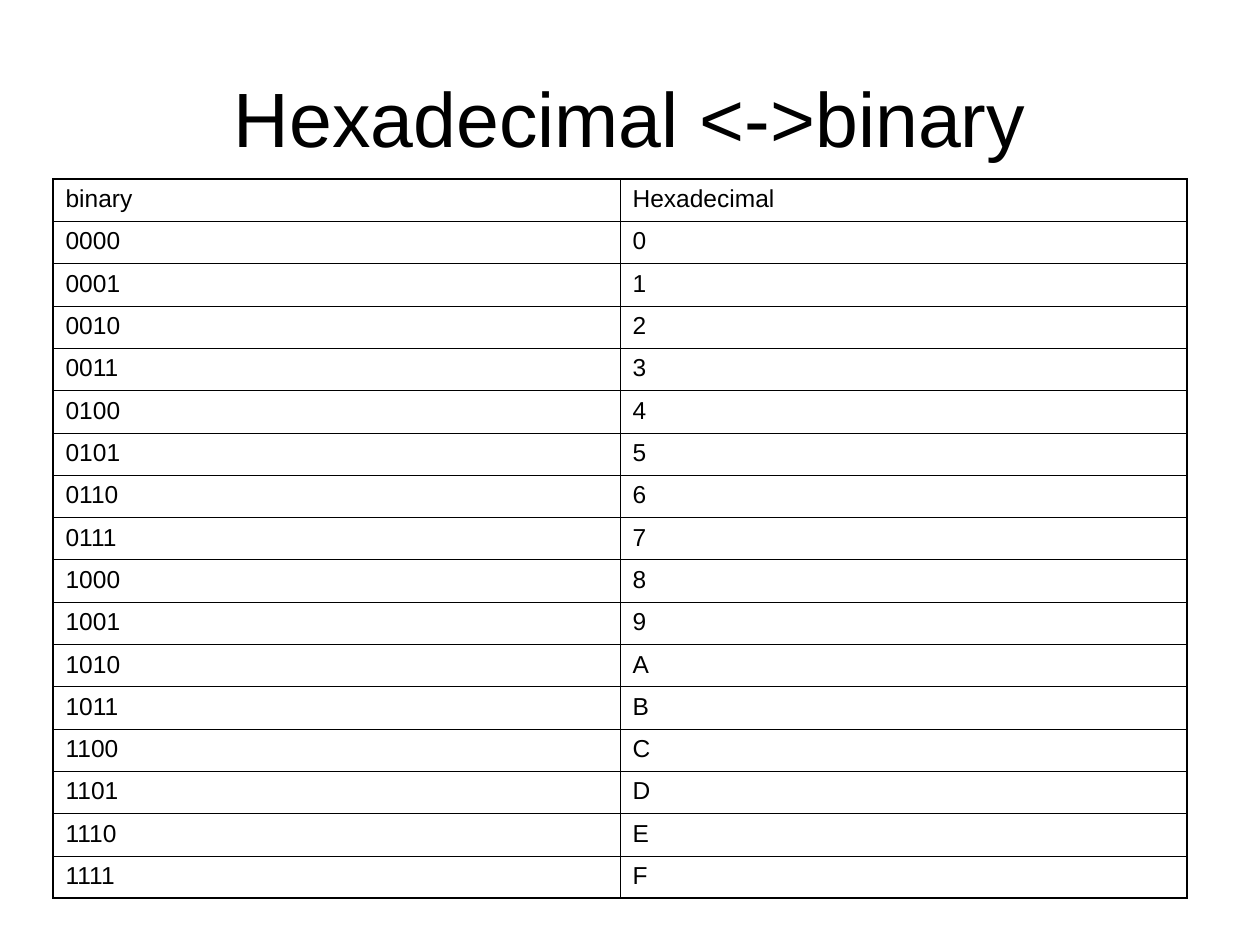
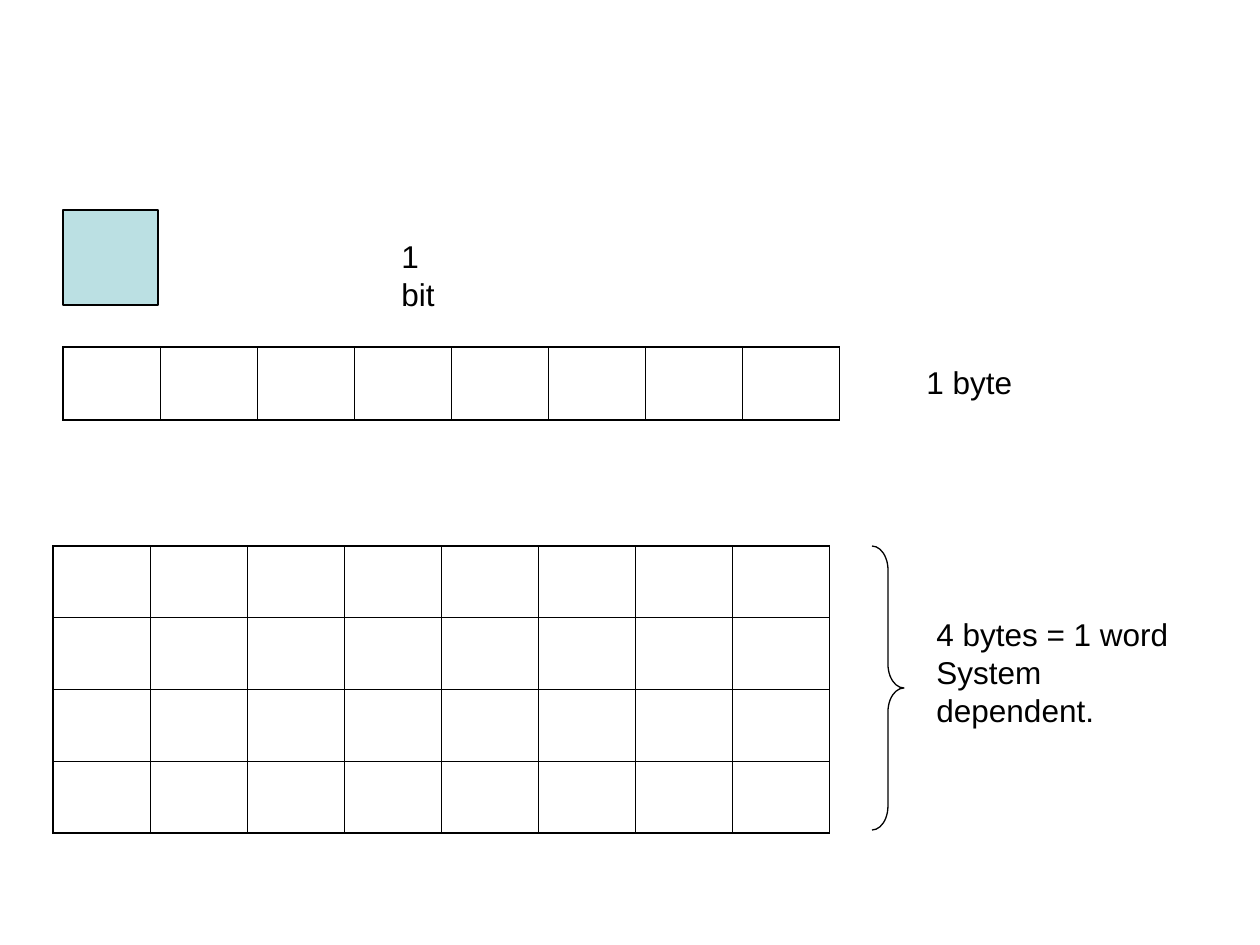
import pptx
import pptx.util
import pptx.dml.color
import pptx.enum.shapes
import pptx.enum.text
import pptx.oxml
import pptx.oxml.ns

HEADINGS = ("binary", "Hexadecimal")
HEX_DIGITS = "0123456789ABCDEF"
CONVERSIONS = [HEADINGS] + [(f"{value:04b}", digit) for value, digit in enumerate(HEX_DIGITS)]
BITS_PER_BYTE = 8
BYTE = [[""] * BITS_PER_BYTE]
WORD = BYTE * 4

TITLE = ("Hexadecimal <->binary", (63, 38, 1134, 157))
LABELS = [
    (["1 bit"], (389, 231, 84, 50)),
    (["1 byte"], (914, 357, 111, 50)),
    (["4 bytes = 1 word", "System dependent."], (924, 609, 296, 88)),
]
CONVERSION_BOX = (53, 179, 1134, 720)
BYTE_BOX = (63, 347, 777, 73)
WORD_BOX = (53, 546, 777, 287)
BIT_BOX = (63, 210, 95, 95)
BRACE_BOX = (872, 546, 32, 284)

COLORS = {"ink": "000000", "bit": "BBE0E3"}
FONT = "Arial"
OUTER_LINE, INNER_LINE = 1.08, 0.45
EMU_PER_PX = 914400 / 126


def px(length):
    return pptx.util.Emu(round(length * EMU_PER_PX))


def box_of(box):
    return [px(length) for length in box]


def color(name):
    return pptx.dml.color.RGBColor.from_string(COLORS[name])


def style(paragraph, size):
    paragraph.font.name = FONT
    paragraph.font.size = pptx.util.Pt(size)
    paragraph.font.color.rgb = color("ink")


def add_text(slide, lines, box, size):
    frame = slide.shapes.add_textbox(*box_of(box)).text_frame
    frame.text = "\n".join(lines)
    for paragraph in frame.paragraphs:
        style(paragraph, size)
    return frame


def add_label(slide, lines, box):
    frame = add_text(slide, lines, box, 18)
    frame.word_wrap = False
    frame.auto_size = pptx.enum.text.MSO_AUTO_SIZE.SHAPE_TO_FIT_TEXT


def add_title(slide, text, box):
    frame = add_text(slide, [text], box, 44)
    frame.word_wrap = True
    frame.vertical_anchor = pptx.enum.text.MSO_ANCHOR.MIDDLE
    frame.paragraphs[0].alignment = pptx.enum.text.PP_ALIGN.CENTER


def set_borders(cell, outer_sides):
    properties = cell._tc.get_or_add_tcPr()
    for position, (side, outer) in enumerate(outer_sides.items()):
        width = pptx.util.Pt(OUTER_LINE if outer else INNER_LINE)
        line = pptx.oxml.parse_xml(
            f'<a:{side} {pptx.oxml.ns.nsdecls("a")} w="{width}"><a:solidFill>'
            f'<a:srgbClr val="{COLORS["ink"]}"/></a:solidFill></a:{side}>'
        )
        properties.insert(position, line)


def add_grid(slide, rows, box):
    row_count, column_count = len(rows), len(rows[0])
    table = slide.shapes.add_table(row_count, column_count, *box_of(box)).table
    table.first_row = table.horz_banding = False
    for column in table.columns:
        column.width = px(box[2] / column_count)
    for r, row in enumerate(rows):
        table.rows[r].height = px(box[3] / row_count)
        for c, text in enumerate(row):
            cell = table.cell(r, c)
            cell.fill.background()
            set_borders(cell, {
                "lnL": c == 0,
                "lnR": c == column_count - 1,
                "lnT": r == 0,
                "lnB": r == row_count - 1,
            })
            if text:
                cell.text = text
                paragraph = cell.text_frame.paragraphs[0]
                paragraph.space_before = pptx.util.Pt(3.5)
                style(paragraph, 14)


def add_outline(slide, preset, box):
    outline = slide.shapes.add_shape(preset, *box_of(box))
    outline.shadow.inherit = False
    outline.fill.background()
    outline.line.color.rgb = color("ink")
    outline.line.width = pptx.util.Pt(0.75)
    return outline


def build_conversion_slide(slide):
    add_title(slide, *TITLE)
    add_grid(slide, CONVERSIONS, CONVERSION_BOX)


def build_units_slide(slide):
    presets = pptx.enum.shapes.MSO_SHAPE
    add_grid(slide, BYTE, BYTE_BOX)
    bit = add_outline(slide, presets.RECTANGLE, BIT_BOX)
    bit.fill.solid()
    bit.fill.fore_color.rgb = color("bit")
    add_grid(slide, WORD, WORD_BOX)
    brace = add_outline(slide, presets.RIGHT_BRACE, BRACE_BOX)
    brace.adjustments[0] = 0.75
    for lines, box in LABELS:
        add_label(slide, lines, box)


def main():
    presentation = pptx.Presentation()
    presentation.slide_width, presentation.slide_height = px(1260), px(945)
    blank = presentation.slide_layouts[6]
    for build in (build_conversion_slide, build_units_slide):
        build(presentation.slides.add_slide(blank))
    presentation.save("out.pptx")


if __name__ == "__main__":
    main()
